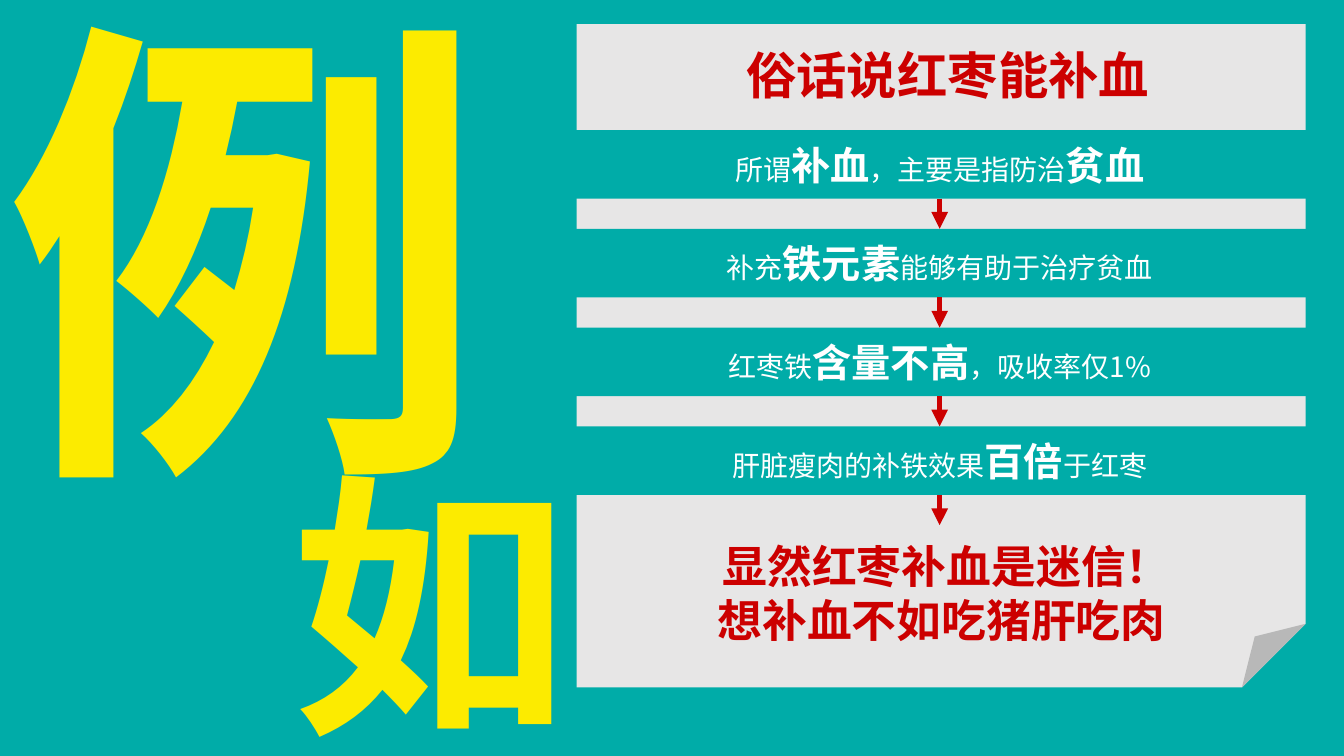
"""Build the slide that argues red dates do not cure anaemia."""
import pptx
import pptx.util
import pptx.dml.color
import pptx.enum.shapes
import pptx.enum.text
import pptx.oxml
from pptx.oxml.ns import nsdecls, qn

Inches, Pt = pptx.util.Inches, pptx.util.Pt
SHAPE = pptx.enum.shapes.MSO_SHAPE
TEAL, PAPER, RED, YELLOW, WHITE = "00ACA8", "E7E6E6", "CC0000", "FCEB00", "FFFFFF"
FONT = "Noto Sans CJK SC"

NORMAL = {"size": Pt(20), "bold": False}
STRONG = {"size": Pt(28), "bold": True}
STEPS = [
    [("所谓", NORMAL), ("补血", STRONG), ("，主要是指防治", NORMAL), ("贫血", STRONG)],
    [("补充", NORMAL), ("铁元素", STRONG), ("能够有助于治疗贫血", NORMAL)],
    [("红枣铁", NORMAL), ("含量不高", STRONG), ("，吸收率仅1%", NORMAL)],
    [("肝脏瘦肉的补铁效果", NORMAL), ("百倍", STRONG), ("于红枣", NORMAL)],
]
HEADINGS = [
    (["俗话说红枣能补血"], 36, RED, True, (7.28, 0.39, 4.24, 0.64)),
    ([" 显然红枣补血是迷信！", "想补血不如吃猪肝吃肉"], 32, RED, True, (6.93, 5.3, 4.82, 1.07)),
    (["例"], 344, YELLOW, False, (-0.07, -0.51, 5.03, 5.89)),
    (["如"], 199, YELLOW, False, (2.78, 4.25, 2.99, 3.45)),
]
PAGE = (5.72, 0.24, 7.23, 6.58)
PAGE_FOLD = 9600
STEP_LEFT, STEP_TOP, STEP_W, STEP_H = 5.21, 1.29, 8.22, 0.68
ARROW_LENGTH = 0.3
STEP_PITCH = STEP_H + ARROW_LENGTH


def rgb(value):
    return pptx.dml.color.RGBColor.from_string(value)


def element(tag, attributes="", content=""):
    return pptx.oxml.parse_xml(f'<a:{tag} {nsdecls("a")} {attributes}>{content}</a:{tag}>')


def add_block(shapes, kind, box, color):
    sp = shapes.add_shape(kind, *map(Inches, box))
    sp.shadow.inherit = False
    sp.fill.solid()
    sp.fill.fore_color.rgb = rgb(color)
    sp.line.fill.background()
    return sp


def write(tf, paragraphs, color, wrap, outlined=False):
    tf.word_wrap = wrap
    tf.auto_size = pptx.enum.text.MSO_AUTO_SIZE.SHAPE_TO_FIT_TEXT
    for i, runs in enumerate(paragraphs):
        p = tf.add_paragraph() if i else tf.paragraphs[0]
        p.alignment = pptx.enum.text.PP_ALIGN.CENTER
        for text, style in runs:
            r = p.add_run()
            r.text = text
            for name, value in {"name": FONT, **style}.items():
                setattr(r.font, name, value)
            r.font.color.rgb = rgb(color)
            props = r._r.get_or_add_rPr()
            props.find(qn("a:latin")).addnext(element("ea", f'typeface="{FONT}"'))
            if outlined:
                fill = f'<a:solidFill><a:srgbClr val="{WHITE}"/></a:solidFill>'
                props.insert(0, element("ln", f'w="{Pt(0.5)}"', fill))


def add_arrow(shapes, upper, lower):
    x, y = upper.left + upper.width // 2, upper.top + upper.height
    straight = pptx.enum.shapes.MSO_CONNECTOR.STRAIGHT
    arrow = shapes.add_connector(straight, x, y, x, y + Inches(ARROW_LENGTH))
    arrow.begin_connect(upper, 2)
    if lower is not None:
        arrow.end_connect(lower, 0)
    arrow.line.color.rgb = rgb(RED)
    arrow.line.width = Pt(4)
    props = arrow._element.spPr
    props.find(qn("a:ln")).append(element("tailEnd", 'type="triangle"'))
    props.append(element("effectLst"))


def main():
    prs = pptx.Presentation()
    prs.slide_width, prs.slide_height = Inches(13.33), Inches(7.5)
    s = prs.slides.add_slide(prs.slide_layouts[6])
    s.background.fill.solid()
    s.background.fill.fore_color.rgb = rgb(TEAL)

    page = add_block(s.shapes, SHAPE.FOLDED_CORNER, PAGE, PAPER)
    guides = page._element.spPr.find(qn("a:prstGeom")).find(qn("a:avLst"))
    guides.append(element("gd", f'name="adj" fmla="val {PAGE_FOLD}"'))

    bands = []
    for i, runs in enumerate(STEPS):
        box = (STEP_LEFT, STEP_TOP + i * STEP_PITCH, STEP_W, STEP_H)
        band = add_block(s.shapes, SHAPE.RECTANGLE, box, TEAL)
        write(band.text_frame, [runs], WHITE, True)
        bands.append(band)
    for upper, lower in zip(bands, bands[1:] + [None]):
        add_arrow(s.shapes, upper, lower)

    for lines, size, color, outlined, box in HEADINGS:
        style = {"size": Pt(size), "bold": True}
        tb = s.shapes.add_textbox(*map(Inches, box))
        write(tb.text_frame, [[(text, style)] for text in lines], color, False, outlined)

    prs.save("out.pptx")


if __name__ == "__main__":
    main()
